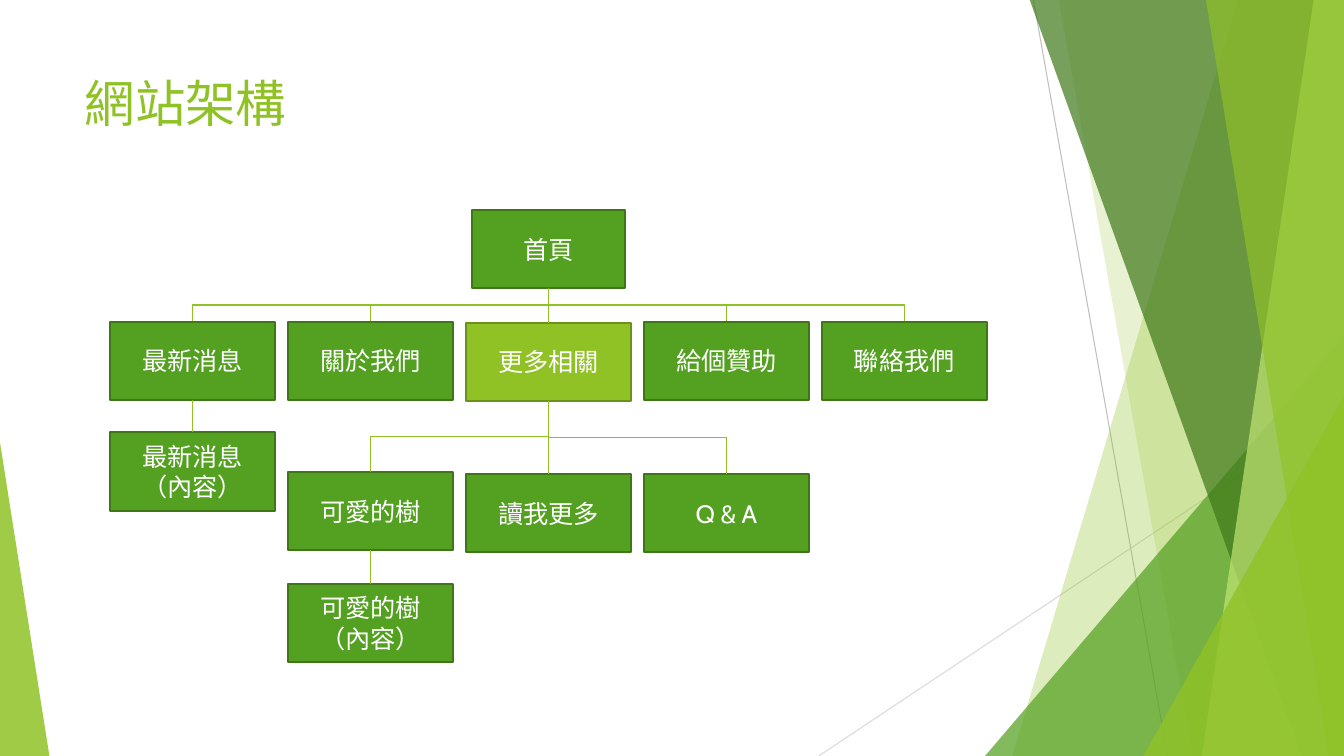
import pptx
import pptx.util
import pptx.dml.color
import pptx.enum.shapes
import pptx.enum.text
import pptx.oxml
import pptx.oxml.ns
from dataclasses import dataclass

TITLE = "網站架構"
PAGES = {
    "home": (["首頁"], None, 2, 2.08),
    "news": (["最新消息"], "home", 0, 3.19),
    "about": (["關於我們"], "home", 1, 3.19),
    "more": (["更多相關"], "home", 2, 3.2),
    "sponsor": (["給個贊助"], "home", 3, 3.19),
    "contact": (["聯絡我們"], "home", 4, 3.19),
    "news_content": (["最新消息", "（內容）"], "news", 0, 4.29),
    "tree": (["可愛的樹"], "more", 1, 4.68),
    "read_more": (["讀我更多"], "more", 2, 4.7),
    "questions": (["Q & A"], "more", 3, 4.7),
    "tree_content": (["可愛的樹", "（內容）"], "tree", 1, 5.79),
}


@dataclass(frozen=True)
class Theme:
    font: str = "Cabin"
    title_size: int = 36
    page_size: int = 18
    white: str = "FFFFFF"
    lime: str = "90C226"
    lime_edge: str = "6B901C"
    green: str = "54A021"
    green_edge: str = "3E7618"
    forest: str = "3F7819"
    pale: str = "C0E474"
    gray: str = "BFBFBF"
    light_gray: str = "D9D9D9"


THEME = Theme()
SLIDE_W, SLIDE_H = 13.33, 7.5
PAGE_W, HOME_W, PAGE_H = 1.64, 1.52, 0.78
FIRST_CENTER, COLUMN_PITCH = 1.91, 1.765

RAYS = [
    ((10.25, 0), (11.58, SLIDE_H), THEME.gray),
    ((SLIDE_W, 4.03), (8.12, SLIDE_H), THEME.light_gray),
]
BANDS = [
    ("quad", (12.28, 10.04), THEME.lime, 30),
    ("quad", (10.5, 11.83), THEME.lime, 20),
    ("triangle", (9.77, 3.33, 3.56, 4.17, 1), THEME.green, 72),
    ("quad", (10.21, 12.91), THEME.forest, 70),
    ("quad", (13.03, 11.92), THEME.pale, 70),
    ("quad", (11.96, 13.18), THEME.lime, 65),
    ("triangle", (11.34, 3.93, 1.99, 3.57, 1), THEME.lime, 80),
    ("triangle", (0, 4.39, 0.49, 3.11, 0), THEME.lime, 85),
]

Inches = pptx.util.Inches
Pt = pptx.util.Pt
SHAPES = pptx.enum.shapes.MSO_SHAPE
CONNECTORS = pptx.enum.shapes.MSO_CONNECTOR
ALIGN = pptx.enum.text.PP_ALIGN
ANCHOR = pptx.enum.text.MSO_ANCHOR


def rgb(color):
    return pptx.dml.color.RGBColor.from_string(color)


def apply(target, formats):
    for attribute, setting in formats.items():
        setattr(target, attribute, setting)


def write(frame, lines, size, color, align, anchor):
    apply(frame, {"word_wrap": True, "vertical_anchor": anchor})
    frame.text = "\n".join(lines)
    for paragraph in frame.paragraphs:
        paragraph.alignment = align
        for run in paragraph.runs:
            apply(run.font, {"size": Pt(size), "name": THEME.font, "bold": False})
            run.font.color.rgb = rgb(color)


def paint(shape, fill, alpha=100):
    shape.shadow.inherit = False
    shape.fill.solid()
    shape.fill.fore_color.rgb = rgb(fill)
    if alpha < 100:
        color = shape._element.spPr.find(".//" + pptx.oxml.ns.qn("a:srgbClr"))
        pptx.oxml.ns.qn("a:alpha")
        opacity = color.makeelement(pptx.oxml.ns.qn("a:alpha"), {"val": str(alpha * 1000)})
        color.append(opacity)


def add_line(shapes, kind, start, end, color, width):
    line = shapes.add_connector(kind, *map(Inches, start + end))
    line.line.color.rgb = rgb(color)
    line.line.width = Pt(width)
    properties = line._element.spPr
    properties.append(properties.makeelement(pptx.oxml.ns.qn("a:effectLst"), {}))
    return line


def add_band(shapes, kind, geometry, color, alpha):
    if kind == "triangle":
        *box, apex = geometry
        band = shapes.add_shape(SHAPES.ISOSCELES_TRIANGLE, *map(Inches, box))
        band.adjustments[0] = apex
    else:
        top, bottom = geometry
        outline = shapes.build_freeform(Inches(top), Inches(-0.01))
        corners = [(SLIDE_W, -0.01), (SLIDE_W, SLIDE_H), (bottom, SLIDE_H)]
        outline.add_line_segments([(Inches(x), Inches(y)) for x, y in corners])
        band = outline.convert_to_shape()
    paint(band, color, alpha)
    band.line.fill.background()


def add_page(shapes, key):
    lines, parent, column, top = PAGES[key]
    width = PAGE_W if parent else HOME_W
    left = FIRST_CENTER + column * COLUMN_PITCH - width / 2
    kind = SHAPES.RECTANGLE if parent else SHAPES.ROUNDED_RECTANGLE
    page = shapes.add_shape(kind, *map(Inches, (left, top, width, PAGE_H)))
    if not parent:
        page.adjustments[0] = 0
    fill, edge = (THEME.lime, THEME.lime_edge) if key == "more" else (THEME.green, THEME.green_edge)
    paint(page, fill)
    page.line.color.rgb = rgb(edge)
    page.line.width = Pt(1.5)
    write(page.text_frame, lines, THEME.page_size, THEME.white, ALIGN.CENTER, ANCHOR.MIDDLE)
    return page


def add_branch(shapes, pages, key):
    _, parent, column, top = PAGES[key]
    _, _, parent_column, parent_top = PAGES[parent]
    start_x, end_x = (FIRST_CENTER + c * COLUMN_PITCH for c in (parent_column, column))
    start_y = parent_top + PAGE_H
    bent = column != parent_column
    kind = CONNECTORS.ELBOW if bent else CONNECTORS.STRAIGHT
    branch = add_line(shapes, kind, (start_x, start_y), (end_x, top), THEME.lime, 1)
    branch.begin_connect(pages[parent], 2)
    branch.end_connect(pages[key], 0)
    if bent:
        drop, span = top - start_y, abs(end_x - start_x)
        rightward = column > parent_column
        apply(branch, {
            "left": Inches((start_x + end_x - drop) / 2),
            "top": Inches((start_y + top - span) / 2),
            "width": Inches(drop),
            "height": Inches(span),
        })
        transform = branch._element.spPr.find(pptx.oxml.ns.qn("a:xfrm"))
        transform.set("rot", str((270 if rightward else 90) * 60000))
        transform.set("flipH", "1" if rightward else "0")


def main():
    deck = pptx.Presentation()
    apply(deck, {"slide_width": Inches(SLIDE_W), "slide_height": Inches(SLIDE_H)})
    slide = deck.slides.add_slide(deck.slide_layouts[5])
    shapes = slide.shapes
    for start, end, color in RAYS:
        add_line(shapes, CONNECTORS.STRAIGHT, start, end, color, 0.75)
    for band in BANDS:
        add_band(shapes, *band)
    title = shapes.title
    apply(title, {
        "left": Inches(0.74), "top": Inches(0.67),
        "width": Inches(9.4), "height": Inches(0.79),
    })
    write(title.text_frame, [TITLE], THEME.title_size, THEME.lime, ALIGN.LEFT, ANCHOR.TOP)
    pages = {key: add_page(shapes, key) for key in PAGES}
    for key, (_, parent, _, _) in PAGES.items():
        if parent:
            add_branch(shapes, pages, key)
    deck.save("out.pptx")


if __name__ == "__main__":
    main()
